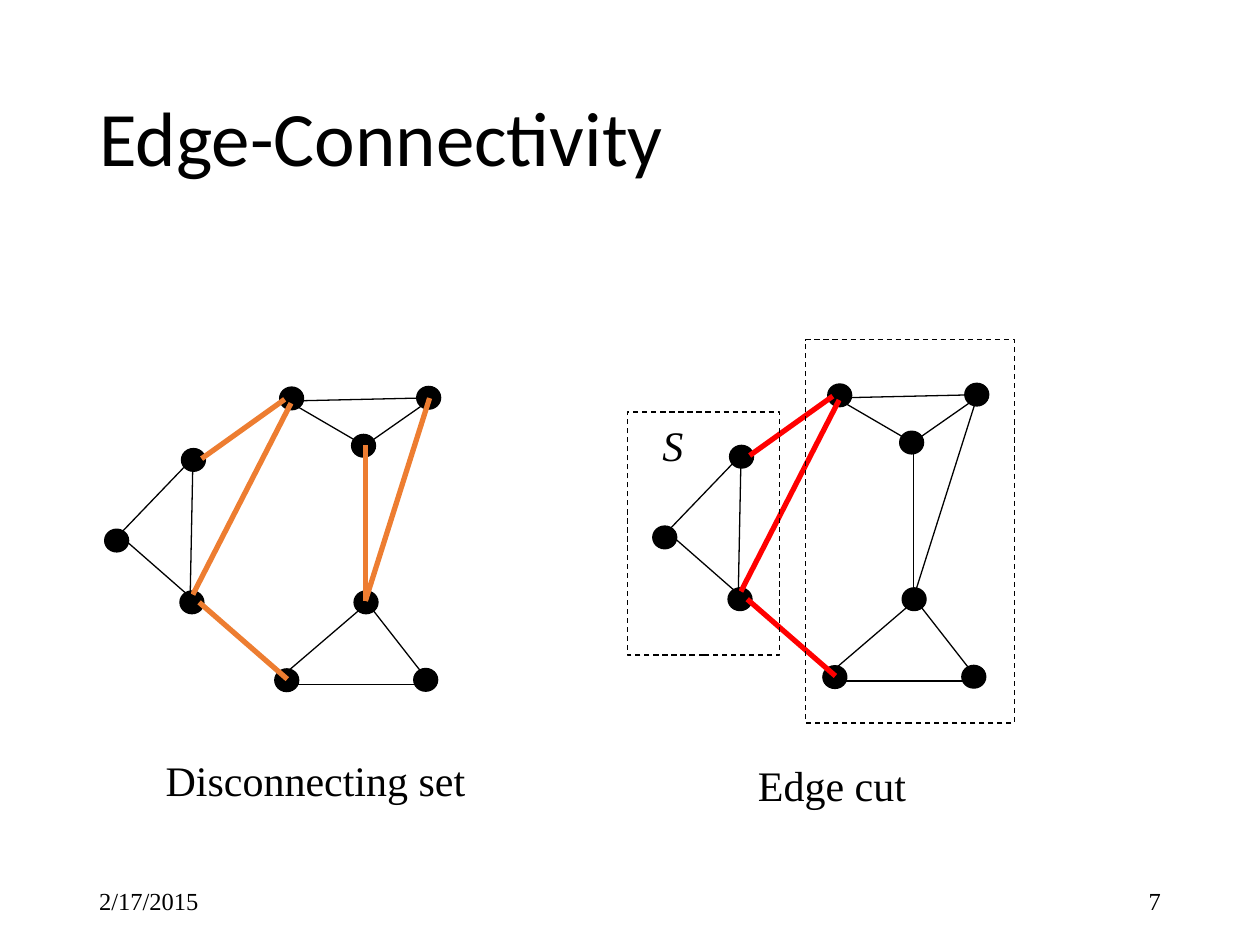
"""Build the edge-connectivity slide comparing a disconnecting set with an edge cut."""
from lxml import etree
from pptx import Presentation
from pptx import util as u
from pptx.dml.color import RGBColor
from pptx.enum import dml, shapes, text
from pptx.oxml.ns import qn

COLORS = {"ink": "000000", "disconnecting": "ED7D31", "cut": "FF0000"}
SERIF = "Times New Roman"
NODE_SIZE = (13.7, 13)
THIN, THICK = 0.75, 3

TITLE = ("Edge-Connectivity", (49.5, 28.8, 621, 104.4))
NODES = [
    (159.8, 221.2), (103.7, 256.3), (102.8, 337.7), (59.8, 302.4), (157, 382.2),
    (238.1, 220.8), (200.9, 248.2), (202.3, 337.7), (236.4, 382),
]
EDGES = {
    "west-upper": ((69.1, 304.6), (105.1, 267.1)),
    "west-lower": ((73.4, 310.3), (108, 340.6)),
    "upper-top": ((115.2, 262.1), (162.7, 228.2)),
    "lower-bottom": ((113.8, 344.2), (164.2, 388.1)),
    "lower-top": ((110.2, 339.8), (166.3, 230.4)),
    "lower-upper": ((108.7, 340.6), (110.2, 265)),
    "top-corner": ((172.8, 229), (239, 227.5)),
    "top-inner": ((167.8, 231.1), (205.2, 252.9)),
    "inner-corner": ((210.2, 253.4), (243.4, 230.2)),
    "hub-inner": ((208.8, 343.4), (208.8, 254.2)),
    "bottom-hub": ((163.4, 384.5), (208.8, 345.6)),
    "hub-east": ((210.2, 344.9), (246.2, 391)),
    "bottom-east": ((167, 391), (244.8, 391)),
    "hub-corner": ((208.8, 343.4), (245.5, 227.5)),
}
CUT = ["upper-top", "lower-bottom", "lower-top"]
GRAPHS = [
    ((0, 0), "disconnecting", CUT + ["hub-inner", "hub-corner"]),
    ((313.2, -1.8), "cut", CUT),
]
PARTITIONS = [(358.6, 235.4, 87, 139), (460.4, 194.2, 119.5, 219)]
LABELS = [
    ("2/17/2015", (49.5, 500.4, 162, 28.8), {"size": u.Pt(14)}, "LEFT", "MIDDLE"),
    ("7", (508.5, 500.4, 162, 28.8), {"size": u.Pt(14)}, "RIGHT", "MIDDLE"),
    ("Disconnecting set", (87.6, 427.7, 198.7, 36), {"size": u.Pt(24)}, "LEFT", "TOP"),
    ("Edge cut", (426, 430.6, 135.4, 36), {"size": u.Pt(24)}, "LEFT", "TOP"),
    ("S", (371.5, 236.2, 33.8, 36), {"size": u.Pt(24), "italic": True}, "LEFT", "TOP"),
]


def points(values):
    return [u.Pt(value) for value in values]


def set_attributes(target, values):
    for name, value in values.items():
        setattr(target, name, value)


def rgb(name):
    return RGBColor.from_string(COLORS[name])


def style_line(shape, color, width):
    shape.line.color.rgb = rgb(color)
    shape.line.width = u.Pt(width)


def write(shape, words, font, align, anchor):
    frame = shape.text_frame
    set_attributes(frame, {
        "text": words, "word_wrap": True, "auto_size": text.MSO_AUTO_SIZE.NONE,
        "vertical_anchor": getattr(text.MSO_ANCHOR, anchor),
    })
    paragraph = frame.paragraphs[0]
    paragraph.alignment = getattr(text.PP_ALIGN, align)
    set_attributes(paragraph.font, font)
    paragraph.font.color.rgb = rgb("ink")
    return paragraph


def add_preset(slide, preset, box):
    shape = slide.shapes.add_shape(preset, *points(box))
    shape.shadow.inherit = False
    style_line(shape, "ink", THIN)
    return shape


def add_graph(slide, offset, accent, marked):
    def shift(point):
        return [a + b for a, b in zip(point, offset)]

    for node in NODES:
        dot = add_preset(slide, shapes.MSO_SHAPE.OVAL, [*shift(node), *NODE_SIZE])
        dot.fill.solid()
        dot.fill.fore_color.rgb = rgb("ink")
    for name, (start, end) in EDGES.items():
        edge = slide.shapes.add_connector(
            shapes.MSO_CONNECTOR.STRAIGHT, *points(shift(start) + shift(end)))
        style_line(edge, *((accent, THICK) if name in marked else ("ink", THIN)))
        etree.SubElement(edge._element.spPr, qn("a:effectLst"))


def main():
    presentation = Presentation()
    set_attributes(presentation, {"slide_width": u.Pt(720), "slide_height": u.Pt(540)})
    slide = presentation.slides.add_slide(presentation.slide_layouts[5])

    words, box = TITLE
    title = slide.shapes.title
    set_attributes(title, dict(zip(("left", "top", "width", "height"), points(box))))
    heading = write(title, words, {"name": "Calibri", "size": u.Pt(44)}, "LEFT", "MIDDLE")
    heading.line_spacing = 0.9

    for graph in GRAPHS:
        add_graph(slide, *graph)
    for box in PARTITIONS:
        partition = add_preset(slide, shapes.MSO_SHAPE.RECTANGLE, box)
        partition.fill.background()
        partition.line.dash_style = dml.MSO_LINE.DASH
    for words, box, font, align, anchor in LABELS:
        label = slide.shapes.add_textbox(*points(box))
        write(label, words, {"name": SERIF, **font}, align, anchor)

    presentation.save("out.pptx")


if __name__ == "__main__":
    main()
